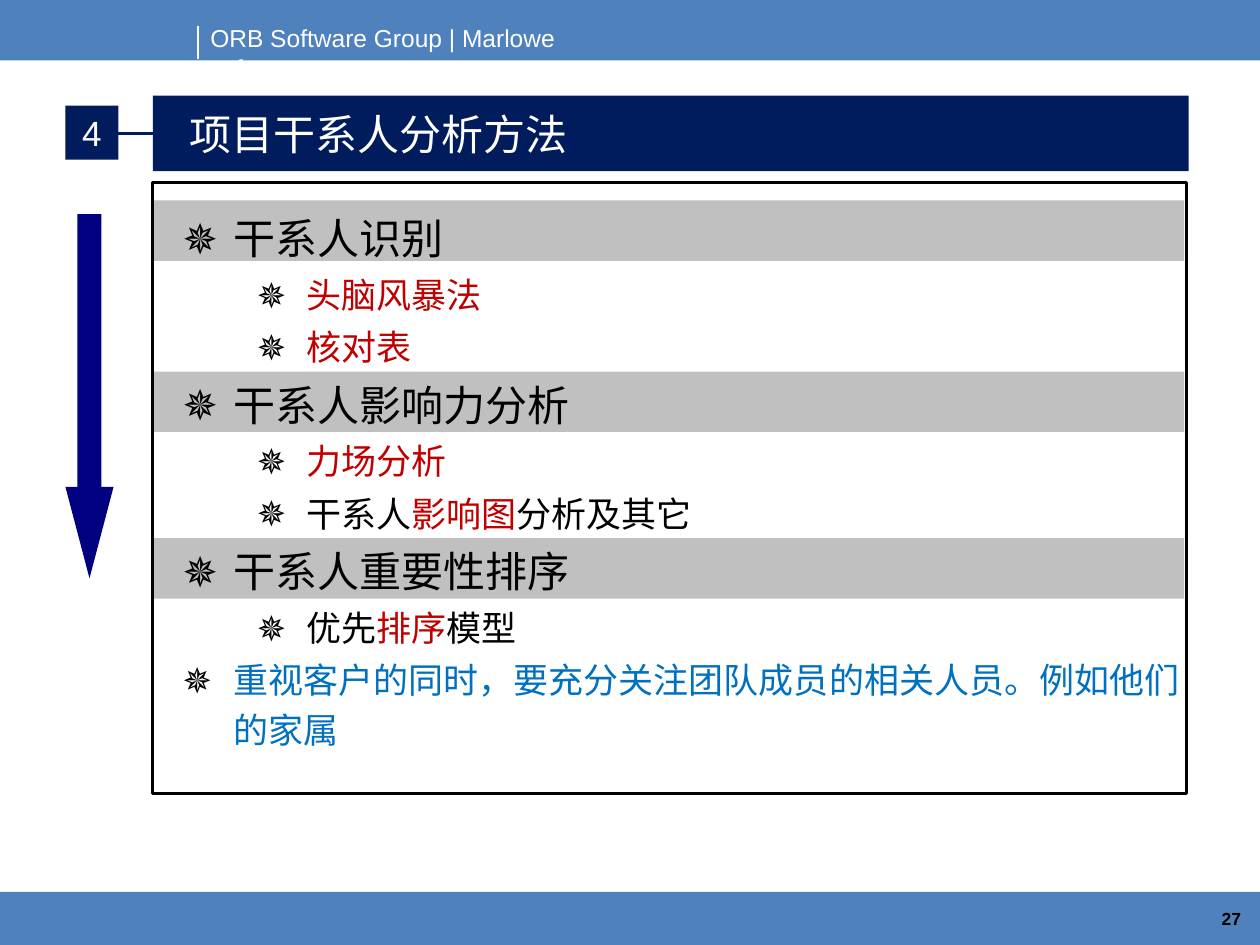
"""Builds the slide on stakeholder analysis methods."""
from dataclasses import dataclass

from lxml import etree
from pptx import Presentation
from pptx import util as u
from pptx.dml.color import RGBColor
from pptx.enum import shapes, text
from pptx.oxml.ns import qn


@dataclass(frozen=True)
class Theme:
    blue: str = "4F81BD"
    navy: str = "001C5C"
    arrow: str = "000080"
    band: str = "C0C0C0"
    white: str = "FFFFFF"
    black: str = "000000"
    red: str = "C00000"
    accent: str = "0070C0"
    latin: str = "Arial"
    chinese: str = "Noto Sans CJK SC"
    mono: str = "Noto Sans Mono"
    heading: int = 24
    item: int = 20
    header: int = 14
    small: int = 10


THEME = Theme()
BLACK, RED = THEME.black, THEME.red
METHODS = [
    (0, THEME.heading, [("干系人识别", BLACK)]),
    (1, THEME.item, [("头脑风暴法", RED)]),
    (1, THEME.item, [("核对表", RED)]),
    (0, THEME.heading, [("干系人影响力分析", BLACK)]),
    (1, THEME.item, [("力场分析", RED)]),
    (1, THEME.item, [("干系人", BLACK), ("影响图", RED), ("分析及其它", BLACK)]),
    (0, THEME.heading, [("干系人重要性排序", BLACK)]),
    (1, THEME.item, [("优先", BLACK), ("排序", RED), ("模型", BLACK)]),
    (0, THEME.item, [("重视客户的同时，要充分关注团队成员的相关人员。例如他们的家属", THEME.accent)]),
]
INDENTS = [(1.02, -1.02), (2.49, -0.99)]
BAND_TOPS = [4.04, 7.49, 10.85]


def place(shape, left, top, width, height):
    shape.left, shape.top = u.Cm(left), u.Cm(top)
    shape.width, shape.height = u.Cm(width), u.Cm(height)


def paint(shape, color):
    shape.fill.solid()
    shape.fill.fore_color.rgb = RGBColor.from_string(color)


def add_block(page, box, fill=None, line=None, kind=shapes.MSO_SHAPE.RECTANGLE):
    shape = page.shapes.add_shape(kind, *map(u.Cm, box))
    shape.shadow.inherit = False
    if fill:
        paint(shape, fill)
    else:
        shape.fill.background()
    if line:
        shape.line.color.rgb = RGBColor.from_string(line)
        shape.line.width = u.Pt(1.75)
    else:
        shape.line.fill.background()
    return shape


def add_line(page, start, end, color, width):
    line = page.shapes.add_connector(
        shapes.MSO_CONNECTOR.STRAIGHT, *map(u.Cm, start + end))
    line.line.color.rgb = RGBColor.from_string(color)
    line.line.width = u.Pt(width)
    etree.SubElement(line._element.spPr, qn("a:effectLst"))


def set_frame(shape, inset=(0, 0, 0, 0), wrap=True, anchor=text.MSO_ANCHOR.TOP):
    frame = shape.text_frame
    frame.auto_size = text.MSO_AUTO_SIZE.NONE
    frame.word_wrap = wrap
    frame.vertical_anchor = anchor
    frame.margin_left, frame.margin_top, frame.margin_right, frame.margin_bottom = map(u.Cm, inset)
    return frame


def write(para, words, size, color, font=THEME.latin, bold=False, align=text.PP_ALIGN.LEFT):
    para.alignment = align
    span = para.add_run()
    span.text = words
    span.font.size = u.Pt(size)
    span.font.bold = bold
    span.font.name = font
    span.font.color.rgb = RGBColor.from_string(color)
    east = etree.Element(qn("a:ea"), typeface=THEME.chinese)
    span.font._element.find(qn("a:latin")).addnext(east)


def add_bullet(para, level):
    para.level = level
    para.line_spacing = 1.2
    para.space_before = u.Pt(1)
    properties = para._p.get_or_add_pPr()
    margin, indent = INDENTS[level]
    properties.set("marL", str(u.Cm(margin)))
    properties.set("indent", str(u.Cm(indent)))
    color = etree.SubElement(properties, qn("a:buClr"))
    etree.SubElement(color, qn("a:srgbClr"), val=THEME.black)
    etree.SubElement(properties, qn("a:buFont"), typeface=THEME.mono)
    etree.SubElement(properties, qn("a:buChar"), char="✵")


def add_header_and_footer(page):
    add_block(page, (0, 17.98, 25.4, 1.07), THEME.blue)
    add_block(page, (0, 0, 25.4, 1.22), THEME.blue)
    label = page.shapes.add_textbox(*map(u.Cm, (3.99, 0.34, 9.17, 0.84)))
    frame = set_frame(label, (0.25, 0.13, 0.25, 0.13))
    write(frame.paragraphs[0], "ORB Software Group | Marlowe software",
          THEME.header, THEME.white)
    add_line(page, (3.99, 0.53), (3.99, 1.19), THEME.white, 0.75)
    number = page.shapes.add_textbox(*map(u.Cm, (23.14, 18.31, 1.88, 0.43)))
    write(set_frame(number).paragraphs[0], "27", THEME.small, THEME.black,
          bold=True, align=text.PP_ALIGN.RIGHT)


def add_title(page):
    add_line(page, (1.68, 2.69), (20.14, 2.69), THEME.navy, 1.75)
    badge = add_block(page, (1.32, 2.13, 1.07, 1.09), THEME.navy)
    frame = set_frame(badge, wrap=False, anchor=text.MSO_ANCHOR.MIDDLE)
    write(frame.paragraphs[0], "4", THEME.item, THEME.white, align=text.PP_ALIGN.CENTER)
    title = page.shapes.title
    page.shapes._spTree.append(title._element)
    place(title, 3.08, 1.93, 20.88, 1.52)
    paint(title, THEME.navy)
    frame = set_frame(title, (0.74, 0, 0, 0), anchor=text.MSO_ANCHOR.MIDDLE)
    write(frame.paragraphs[0], "项目干系人分析方法", THEME.heading, THEME.white, THEME.chinese)


def add_methods(page):
    for top in BAND_TOPS:
        add_block(page, (3.07, top, 20.8, 1.22), THEME.band)
    add_block(page, (3.07, 3.68, 20.85, 12.32), line=THEME.black)
    arrow = add_block(page, (1.32, 4.32, 0.97, 7.34), THEME.arrow,
                      kind=shapes.MSO_SHAPE.DOWN_ARROW)
    arrow.adjustments[0], arrow.adjustments[1] = 0.5, 1.9
    body = page.shapes.add_textbox(*map(u.Cm, (3.68, 4.09, 20.27, 11.23)))
    frame = set_frame(body)
    for index, (level, size, spans) in enumerate(METHODS):
        para = frame.add_paragraph() if index else frame.paragraphs[0]
        add_bullet(para, level)
        for words, color in spans:
            write(para, words, size, color, THEME.mono)


def main():
    deck = Presentation()
    deck.slide_width, deck.slide_height = u.Cm(25.4), u.Cm(19.05)
    page = deck.slides.add_slide(deck.slide_layouts[5])
    add_header_and_footer(page)
    add_title(page)
    add_methods(page)
    deck.save("out.pptx")


main()
